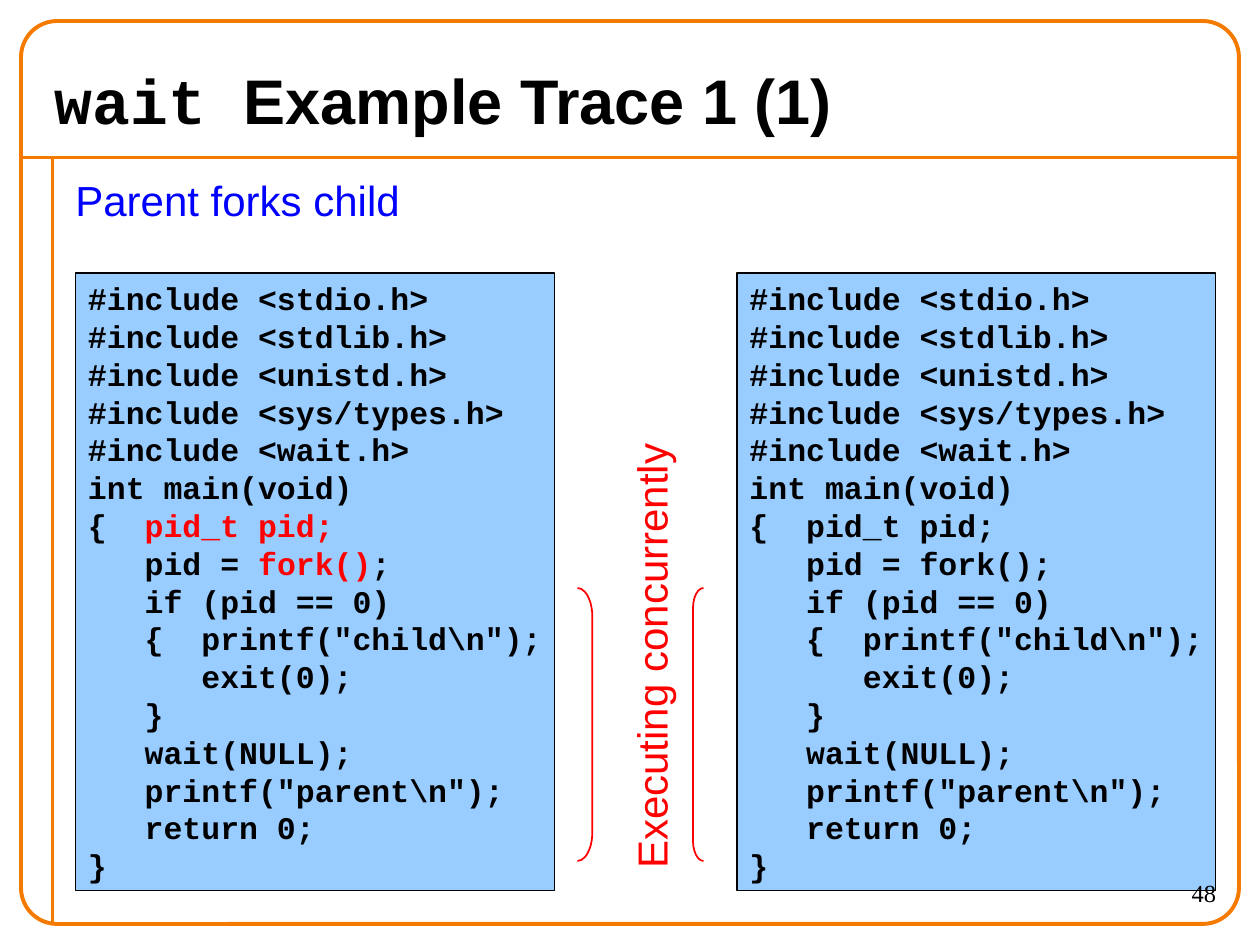
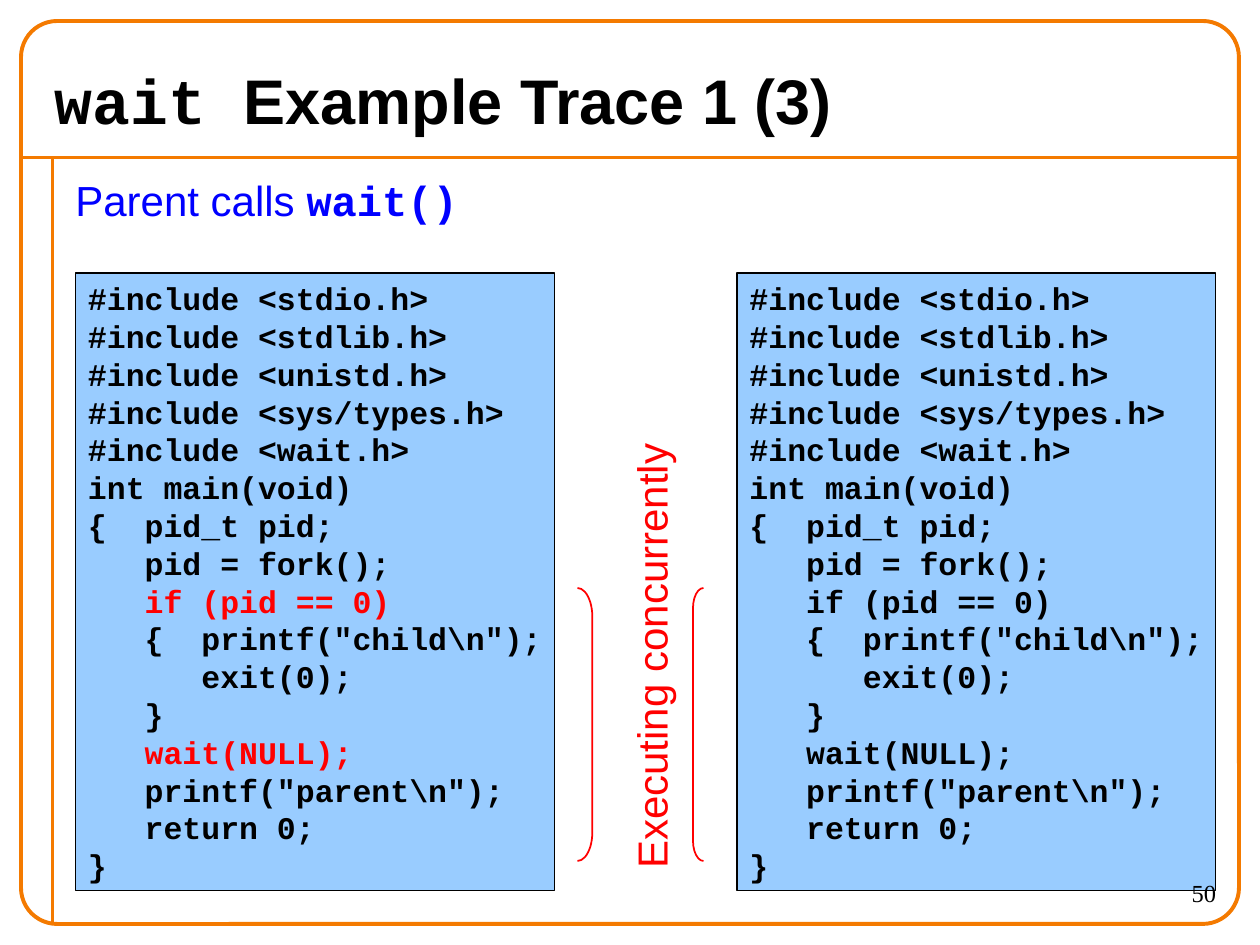
"""Two trace slides showing parent and child code side by side."""
from dataclasses import dataclass

from lxml import etree
from pptx import Presentation
from pptx import util as u
from pptx.dml.color import RGBColor
from pptx.enum import shapes, text
from pptx.oxml.ns import qn


@dataclass(frozen=True)
class Theme:
    """Colours, fonts and type sizes of the deck."""
    frame: str = "F47A00"
    ink: str = "000000"
    accent: str = "0000FF"
    mark: str = "FF0000"
    panel: str = "99CCFF"
    sans: str = "Arial"
    mono: str = "Courier New"
    serif: str = "Times New Roman"
    title: int = 36
    body: int = 24
    code: int = 18
    number: int = 14
    code_pitch: float = 21.6
    frame_line: float = 2.25


T = Theme()

CODE = r"""#include <stdio.h>
#include <stdlib.h>
#include <unistd.h>
#include <sys/types.h>
#include <wait.h>
int main(void)
{  pid_t pid;
   pid = fork();
   if (pid == 0)
   {  printf("child\n");
      exit(0);
   }
   wait(NULL);
   printf("parent\n");
   return 0;
}"""

TRACES = [
    {"title": "Example Trace 1 (1)", "lead": "Parent forks child", "call": "",
     "marks": ("pid_t pid;", "fork()"), "number": "48"},
    {"title": "Example Trace 1 (3)", "lead": "Parent calls ", "call": "wait()",
     "marks": ("if (pid == 0)", "wait(NULL);"), "number": "50"},
]


def pts(*values):
    """Turn numbers into point lengths."""
    return [u.Pt(v) for v in values]


def style(r, size, color, font, bold=False):
    """Format one run."""
    r.font.size = u.Pt(size)
    r.font.color.rgb = RGBColor.from_string(color)
    r.font.name = font
    r.font.bold = bold


def add_runs(p, size, parts):
    """Add each non-empty (text, colour, font, bold) part as a run."""
    for words, color, font, bold in parts:
        if words:
            r = p.add_run()
            r.text = words
            style(r, size, color, font, bold)


def outline(sp, color, width):
    """Give a shape or connector a plain solid line."""
    sp.line.color.rgb = RGBColor.from_string(color)
    sp.line.width = u.Pt(width)


def add_plain_shape(s, kind, box, color, width, fill=None):
    """Add a preset shape without shadow, filled only when asked."""
    sp = s.shapes.add_shape(kind, *pts(*box))
    sp.shadow.inherit = False
    outline(sp, color, width)
    if fill:
        sp.fill.solid()
        sp.fill.fore_color.rgb = RGBColor.from_string(fill)
    else:
        sp.fill.background()
    return sp


def add_label(s, box, words, size, color, font):
    """Add a wrapped text box with one paragraph."""
    sp = s.shapes.add_textbox(*pts(*box))
    tf = sp.text_frame
    tf.word_wrap = True
    p = tf.paragraphs[0]
    p.text = words
    for r in p.runs:
        style(r, size, color, font)
    return sp


def add_frame(s, box):
    """Draw the rounded frame with its title rule and side rule."""
    x, y, w, h = box
    rule_y, rule_x = y + 78, x + 18
    for ends in ((x, rule_y, x + w, rule_y), (rule_x, rule_y, rule_x, y + h)):
        sp = s.shapes.add_connector(shapes.MSO_CONNECTOR.STRAIGHT, *pts(*ends))
        outline(sp, T.frame, T.frame_line)
        etree.SubElement(sp._element.spPr, qn("a:effectLst"))
    sp = add_plain_shape(s, shapes.MSO_SHAPE.ROUNDED_RECTANGLE, box, T.frame, T.frame_line)
    sp.adjustments[0] = 0.04


def set_title(s, box, words):
    """Place the title placeholder and write its two-font heading."""
    sp = s.shapes.title
    sp.left, sp.top, sp.width, sp.height = pts(*box)
    tf = sp.text_frame
    tf.auto_size = text.MSO_AUTO_SIZE.NONE
    tf.vertical_anchor = text.MSO_ANCHOR.MIDDLE
    p = tf.paragraphs[0]
    p.alignment = text.PP_ALIGN.LEFT
    add_runs(p, T.title, [("wait ", T.ink, T.mono, True), (words, T.ink, T.sans, True)])


def add_lead(s, box, words, call):
    """Add the blue lead sentence, ending in an optional call."""
    sp = add_label(s, box, words, T.body, T.accent, T.sans)
    add_runs(sp.text_frame.paragraphs[0], T.body, [(call, T.accent, T.mono, True)])


def add_code(s, box, marks=()):
    """Add a code panel with the marked phrases in red."""
    sp = add_plain_shape(s, shapes.MSO_SHAPE.RECTANGLE, box, T.ink, 0.75, T.panel)
    tf = sp.text_frame
    tf.word_wrap = False
    tf.auto_size = text.MSO_AUTO_SIZE.SHAPE_TO_FIT_TEXT
    tf.vertical_anchor = text.MSO_ANCHOR.TOP
    for i, line in enumerate(CODE.split("\n")):
        p = tf.add_paragraph() if i else tf.paragraphs[0]
        p.alignment = text.PP_ALIGN.LEFT
        p.line_spacing = u.Pt(T.code_pitch)
        mark = next((m for m in marks if m in line), None)
        before, hit, after = line.partition(mark) if mark else (line, "", "")
        add_runs(p, T.code, [(before, T.ink, T.mono, True), (hit, T.mark, T.mono, True),
                             (after, T.ink, T.mono, True)])


def add_concurrency(s, box):
    """Draw the facing brackets and the upright label between them."""
    x, y, w, h = box
    left_w, right_w = 8.5, 6
    for kind, bx, bw in ((shapes.MSO_SHAPE.RIGHT_BRACKET, x, left_w),
                         (shapes.MSO_SHAPE.LEFT_BRACKET, x + w - right_w, right_w)):
        sp = add_plain_shape(s, kind, (bx, y, bw, h), T.mark, 1)
        sp.adjustments[0] = 1.95
    label_w, label_h = 270, 36
    middle_x, middle_y = x + w / 2 + 6, y + h / 2 - 45.5
    sp = add_label(s, (middle_x - label_w / 2, middle_y - label_h / 2, label_w, label_h),
                   "Executing concurrently", T.body, T.mark, T.sans)
    sp.rotation = 270


def add_number(s, box, number):
    """Add the right-aligned slide number."""
    sp = add_label(s, box, number, T.number, T.ink, T.serif)
    sp.text_frame.paragraphs[0].alignment = text.PP_ALIGN.RIGHT


def add_trace(prs, trace):
    """Build one trace slide."""
    s = prs.slides.add_slide(prs.slide_layouts[5])
    add_frame(s, (12, 12, 696, 516))
    set_title(s, (24, 30, 672, 54), trace["title"])
    add_lead(s, (36, 96, 666, 432), trace["lead"], trace["call"])
    add_code(s, (43.2, 156, 273.6, 352.8), trace["marks"])
    add_code(s, (421.2, 156, 273.6, 352.8))
    add_concurrency(s, (330, 336, 72, 156))
    add_number(s, (630, 498, 72, 30), trace["number"])


def main():
    """Build and save the deck."""
    prs = Presentation()
    prs.slide_width, prs.slide_height = pts(720, 540)
    for trace in TRACES:
        add_trace(prs, trace)
    prs.save("out.pptx")


if __name__ == "__main__":
    main()
